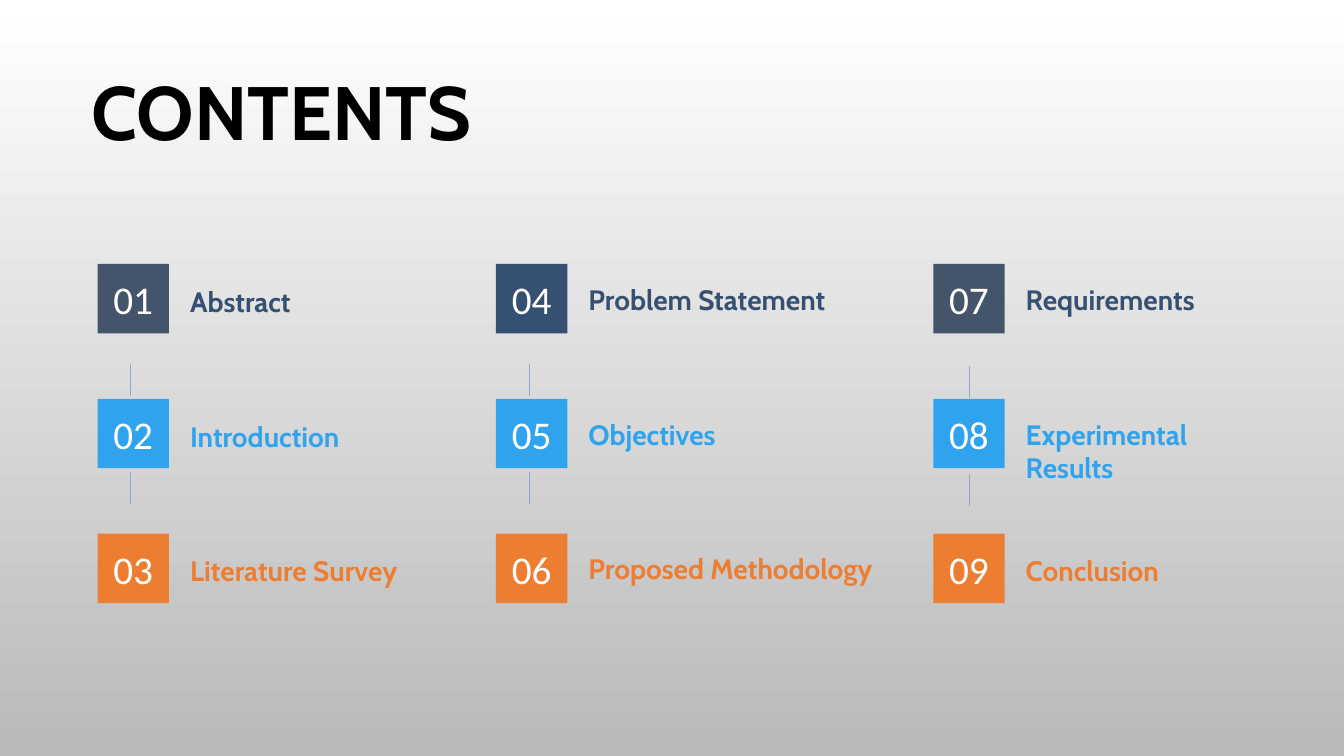
import pptx
import pptx.dml.color
import pptx.enum.shapes
import pptx.enum.text
import pptx.oxml
import pptx.util
from pptx.util import Cm

COLOURS = {
    "white": "FFFFFF",
    "grey": "B9B9B9",
    "black": "000000",
    "slate": "44546A",
    "navy": "355071",
    "blue": "2FA3EE",
    "orange": "ED7D31",
    "link": "90AACB",
}

# Grid of numbered squares, in centimetres
SQUARE_WIDTH, SQUARE_HEIGHT = 1.8, 1.75
FIRST_ROW, ROW_STEP = 6.65, 3.4
LABEL_SHIFT, LABEL_HEIGHT = 2.08, 0.86
LINK_STEP, LINK_LENGTH = 2.72, 0.81
LABEL_COLOURS = ["navy", "blue", "orange"]

# Each entry: label, drop below the top of its square, label width
COLUMNS = [
    {"left": 2.46, "top_fill": "slate", "link": (3.3, 9.17), "entries": [
        ("Abstract", 0.51, 6.32),
        ("Introduction", 0.51, 5.38),
        ("Literature Survey", 0.51, 6.32)]},
    {"left": 12.5, "top_fill": "navy", "link": (13.34, 9.17), "entries": [
        ("Problem Statement", 0.46, 7.72),
        ("Objectives", 0.46, 7.72),
        ("Proposed Methodology", 0.46, 7.72)]},
    {"left": 23.52, "top_fill": "slate", "link": (24.43, 9.22), "entries": [
        ("Requirements", 0.46, 6.86),
        ("Experimental Results", 0.46, 6.68),
        ("Conclusion", 0.51, 6.05)]},
]


def colour(name):
    return pptx.dml.color.RGBColor.from_string(COLOURS[name])


def set_values(target, values):
    for name, value in values.items():
        setattr(target, name, value)


def write(box, text, font, size, colour_name, bold, align, frame_values):
    """Put one formatted line of text in a shape."""
    frame = box.text_frame
    set_values(frame, {"word_wrap": True, **frame_values})
    para = frame.paragraphs[0]
    para.alignment = align
    span = para.add_run()
    span.text = text
    set_values(span.font, {"name": font, "size": pptx.util.Pt(size), "bold": bold})
    span.font.color.rgb = colour(colour_name)


def paint_background(page):
    fill = page.background.fill
    fill.gradient()
    fill.gradient_angle = 270
    for stop, position, name in zip(fill.gradient_stops, (0, 1), ("white", "grey")):
        stop.position = position
        stop.color.rgb = colour(name)


def add_title(page, text):
    title = page.shapes.title
    set_values(title, {"left": Cm(0), "top": Cm(1.5),
                       "width": Cm(33.87), "height": Cm(2.57)})
    write(title, text, "Cabin", 54, "black", True, pptx.enum.text.PP_ALIGN.LEFT, {
        "margin_left": Cm(2.3),
        "vertical_anchor": pptx.enum.text.MSO_ANCHOR.TOP,
        "auto_size": pptx.enum.text.MSO_AUTO_SIZE.SHAPE_TO_FIT_TEXT,
    })


def add_square(page, left, top, number, fill_name):
    square = page.shapes.add_shape(
        pptx.enum.shapes.MSO_SHAPE.RECTANGLE,
        Cm(left), Cm(top), Cm(SQUARE_WIDTH), Cm(SQUARE_HEIGHT))
    square.shadow.inherit = False
    square.fill.solid()
    square.fill.fore_color.rgb = colour(fill_name)
    square.line.fill.background()
    write(square, f"{number:02d}", "Calibri", 28, "white", False,
          pptx.enum.text.PP_ALIGN.CENTER,
          {"vertical_anchor": pptx.enum.text.MSO_ANCHOR.MIDDLE})


def add_label(page, left, top, width, text, colour_name):
    label = page.shapes.add_textbox(Cm(left), Cm(top), Cm(width), Cm(LABEL_HEIGHT))
    write(label, text, "Cabin", 20, colour_name, True, pptx.enum.text.PP_ALIGN.LEFT, {
        "margin_top": 0,
        "margin_bottom": 0,
        "auto_size": pptx.enum.text.MSO_AUTO_SIZE.SHAPE_TO_FIT_TEXT,
    })


def add_link(page, x, top):
    link = page.shapes.add_connector(
        pptx.enum.shapes.MSO_CONNECTOR.STRAIGHT,
        Cm(x), Cm(top), Cm(x), Cm(top + LINK_LENGTH))
    link.line.color.rgb = colour("link")
    link.line.width = pptx.util.Pt(0.75)
    properties = link._element.spPr
    properties.append(properties.makeelement(pptx.oxml.ns.qn("a:effectLst"), {}))


def add_column(page, column, first_number):
    left = column["left"]
    for row, (text, drop, width) in enumerate(column["entries"]):
        top = FIRST_ROW + row * ROW_STEP
        fill_name = LABEL_COLOURS[row] if row else column["top_fill"]
        add_square(page, left, top, first_number + row, fill_name)
        add_label(page, left + LABEL_SHIFT, top + drop, width, text, LABEL_COLOURS[row])
    x, link_top = column["link"]
    for gap in range(len(column["entries"]) - 1):
        add_link(page, x, link_top + gap * LINK_STEP)


def main():
    deck = pptx.Presentation()
    set_values(deck, {"slide_width": Cm(33.87), "slide_height": Cm(19.05)})
    page = deck.slides.add_slide(deck.slide_layouts.get_by_name("Title Only"))

    # Background and heading
    paint_background(page)
    add_title(page, "CONTENTS")

    # Three columns of three numbered entries
    for index, column in enumerate(COLUMNS):
        add_column(page, column, 1 + 3 * index)

    deck.save("out.pptx")


if __name__ == "__main__":
    main()
